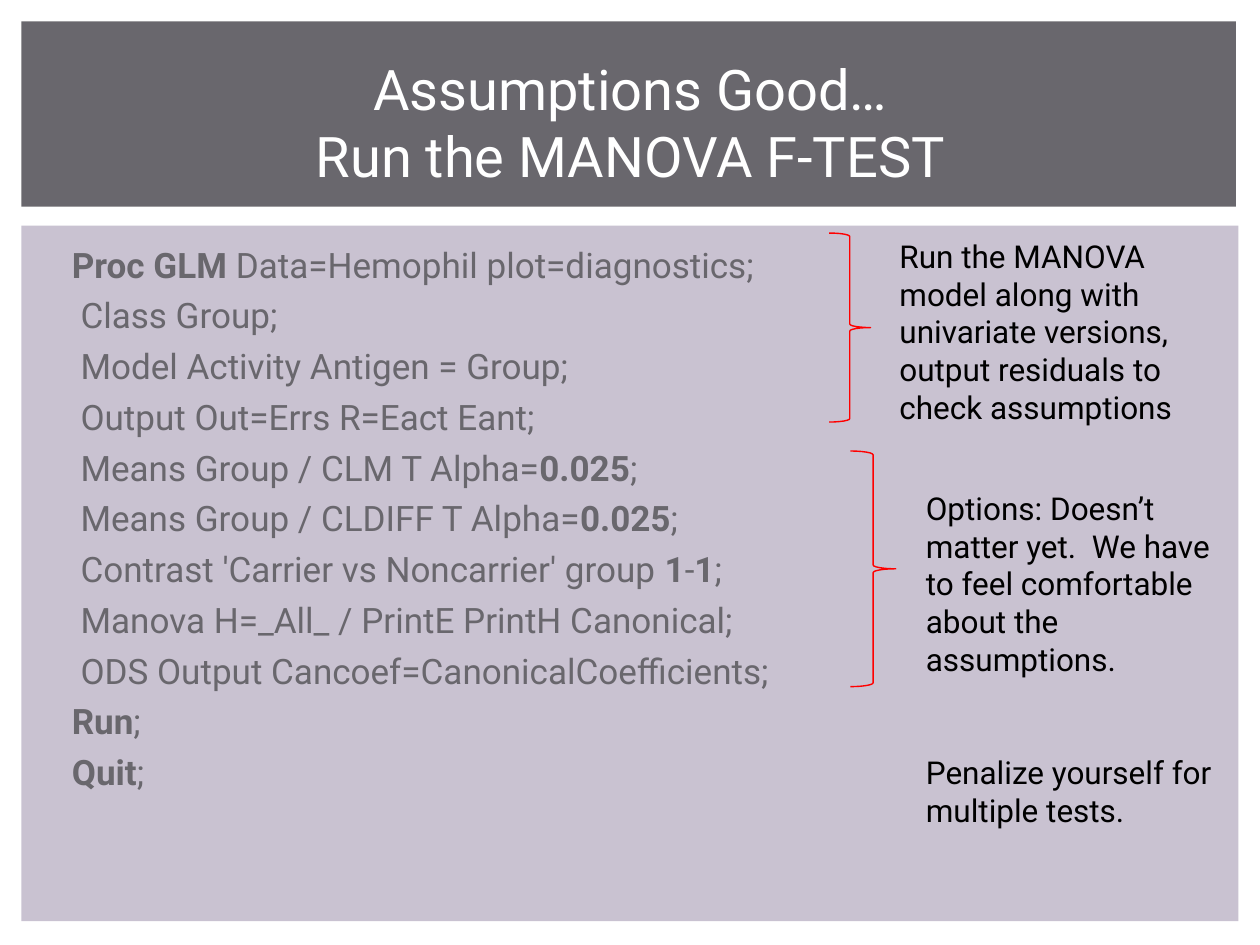
"""Build the slide on running the MANOVA F-test."""
from typing import NamedTuple

from pptx import Presentation
from pptx import util as u
from pptx.dml import color
from pptx.enum import shapes, text


class Box(NamedTuple):
    left: float
    top: float
    width: float
    height: float


class Style(NamedTuple):
    size: int
    ink: str
    gap: float = 0
    align: text.PP_ALIGN = text.PP_ALIGN.LEFT
    anchor: text.MSO_ANCHOR = text.MSO_ANCHOR.TOP
    inset: float = 0.1
    fit: text.MSO_AUTO_SIZE = text.MSO_AUTO_SIZE.NONE


GREY, LILAC, RED = "69676D", "C9C2D1", "FF0000"
FONT = "Roboto"

PANELS = [(Box(0.17, 1.79, 9.66, 5.52), LILAC), (Box(0.17, 0.17, 9.64, 1.47), GREY)]
BRACES = [Box(6.58, 1.85, 0.33, 1.5), Box(6.75, 3.58, 0.36, 1.87)]

TITLE = Style(32, "FFFFFF", align=text.PP_ALIGN.CENTER, anchor=text.MSO_ANCHOR.MIDDLE)
CODE = Style(20, GREY, gap=5, inset=0.15)
NOTE = Style(18, "000000", gap=43.2, fit=text.MSO_AUTO_SIZE.SHAPE_TO_FIT_TEXT)

TEXTS = [
    (Box(0.42, 1.88, 9.19, 4.82), CODE, [
        "**Proc GLM** Data=Hemophil plot=diagnostics;",
        " Class Group;",
        " Model Activity Antigen = Group;",
        " Output Out=Errs R=Eact Eant;",
        " Means Group / CLM T Alpha=**0.025**;",
        " Means Group / CLDIFF T Alpha=**0.025**;",
        " Contrast 'Carrier vs Noncarrier' group **1**-**1**;",
        " Manova H=_All_ / PrintE PrintH Canonical;",
        " ODS Output Cancoef=CanonicalCoefficients;",
        "**Run**;",
        "**Quit**;",
    ]),
    (Box(0.42, 0.39, 9.17, 1.15), TITLE, ["Assumptions Good…\nRun the MANOVA F-TEST"]),
    (Box(7.25, 3.83, 2.5, 2.8), NOTE, [
        "Options: Doesn’t matter yet.  We have to feel comfortable about the assumptions.",
        "Penalize yourself for multiple tests.",
    ]),
    (Box(7.04, 1.83, 2.5, 1.6), NOTE, [
        "Run the MANOVA model along with univariate versions, "
        "output residuals to check assumptions",
    ]),
]


def paint(target, ink: str) -> None:
    """Give a fill or a font a solid hex colour."""
    if hasattr(target, "solid"):
        target.solid()
        target.fore_color.rgb = color.RGBColor.from_string(ink)
    else:
        target.color.rgb = color.RGBColor.from_string(ink)


def place(box: Box) -> list[u.Length]:
    """Turn a box into lengths."""
    return [u.Inches(side) for side in box]


def add_panel(slide, box: Box, ink: str) -> None:
    """Draw a plain filled rectangle."""
    panel = slide.shapes.add_shape(shapes.MSO_SHAPE.RECTANGLE, *place(box))
    panel.shadow.inherit = False
    paint(panel.fill, ink)
    panel.line.fill.background()


def add_brace(slide, box: Box) -> None:
    """Draw a thin red right brace."""
    brace = slide.shapes.add_shape(shapes.MSO_SHAPE.RIGHT_BRACE, *place(box))
    brace.shadow.inherit = False
    brace.fill.background()
    paint(brace.line.fill, RED)
    brace.line.width = u.Pt(0.79)


def add_runs(para, line: str) -> None:
    """Write a line whose starred parts are bold."""
    for rank, part in enumerate(line.split("**")):
        for row, piece in enumerate(part.split("\n")):
            if row:
                para.add_line_break()
            if piece:
                run = para.add_run()
                run.text = piece
                if rank % 2:
                    run.font.bold = True


def add_text(slide, box: Box, style: Style, lines: list[str]) -> None:
    """Write paragraphs of one style in a text box."""
    frame = slide.shapes.add_textbox(*place(box)).text_frame
    frame.word_wrap = True
    frame.auto_size = style.fit
    frame.vertical_anchor = style.anchor
    frame.margin_left = u.Inches(style.inset)
    for rank, line in enumerate(lines):
        para = frame.add_paragraph() if rank else frame.paragraphs[0]
        para.alignment = style.align
        para.space_before = u.Pt(style.gap if rank else 0)
        para.font.name = FONT
        para.font.size = u.Pt(style.size)
        paint(para.font, style.ink)
        add_runs(para, line)


def main() -> None:
    """Build and save the slide."""
    deck = Presentation()
    deck.slide_width, deck.slide_height = u.Inches(10), u.Inches(7.5)
    slide = deck.slides.add_slide(deck.slide_layouts[6])
    for box, ink in PANELS:
        add_panel(slide, box, ink)
    for box, style, lines in TEXTS:
        add_text(slide, box, style, lines)
    for box in BRACES:
        add_brace(slide, box)
    deck.save("out.pptx")


if __name__ == "__main__":
    main()
